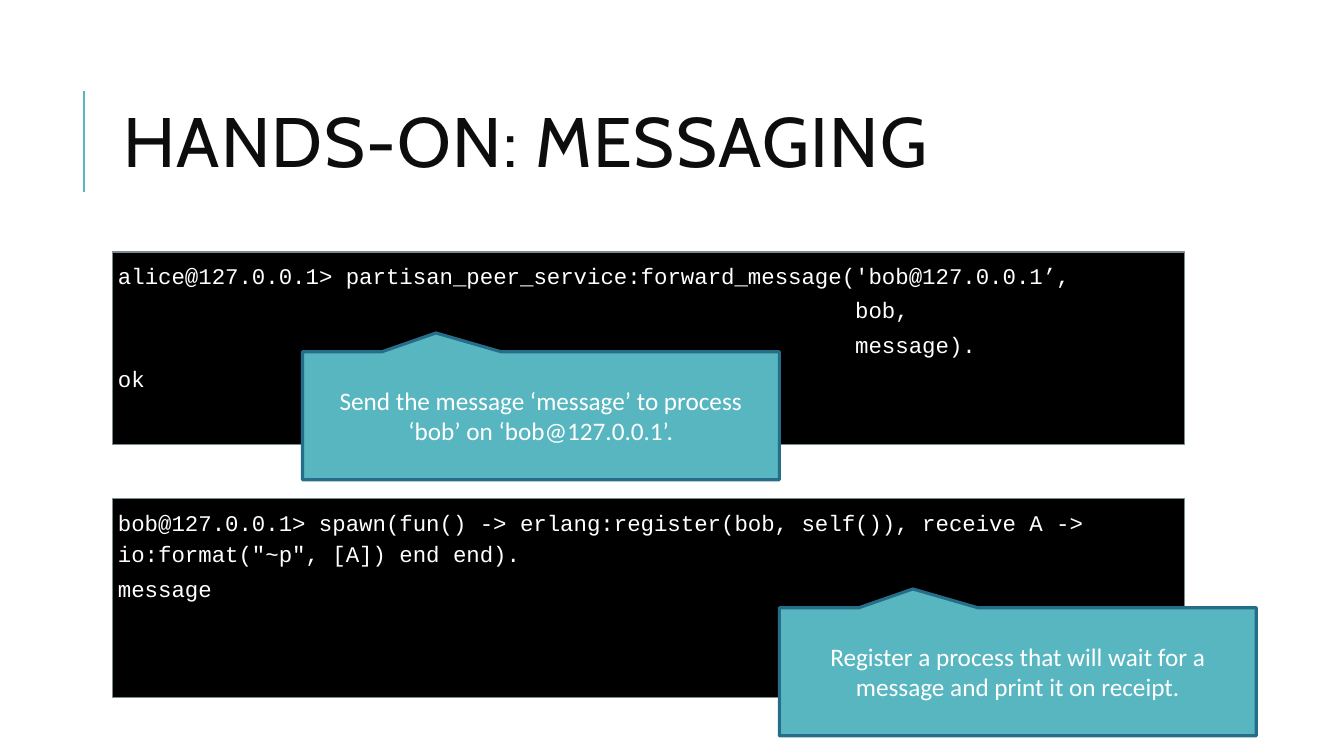
from lxml import etree
from pptx import Presentation
from pptx.dml.color import RGBColor
from pptx.enum.shapes import MSO_CONNECTOR, MSO_SHAPE
from pptx.enum.text import MSO_ANCHOR, MSO_AUTO_SIZE, PP_ALIGN
from pptx.oxml.ns import qn
from pptx.util import Inches, Pt

STRAIGHT = MSO_CONNECTOR.STRAIGHT
RECTANGLE = MSO_SHAPE.RECTANGLE
CALLOUT = MSO_SHAPE.RECTANGULAR_CALLOUT
TOP, MIDDLE = MSO_ANCHOR.TOP, MSO_ANCHOR.MIDDLE
LEFT, CENTER = PP_ALIGN.LEFT, PP_ALIGN.CENTER
NO_AUTOFIT = MSO_AUTO_SIZE.NONE

TEAL, DARK_TEAL, GREY = "58B6C0", "266D8A", "7A8C8E"
BLACK, WHITE, INK = "000000", "FFFFFF", "0D0D0D"

TITLE_BOX = (1.12, 0.64, 10.63, 1.64)
ALICE_BOX = (1.12, 2.5, 10.63, 1.91)
BOB_BOX = (1.12, 4.95, 10.63, 1.97)
ALICE_CODE = [
    "alice@127.0.0.1> partisan_peer_service:forward_message('bob@127.0.0.1’,",
    "                                                       bob,",
    "                                                       message).",
    "ok",
]
BOB_CODE = [
    "bob@127.0.0.1> spawn(fun() -> erlang:register(bob, self()), receive A -> "
    'io:format("~p", [A]) end end).',
    "message",
]
CALLOUTS = [
    ((7.73, 6.03, 4.73, 1.27),
     "Register a process that will wait for a message and print it on receipt."),
    ((3, 3.49, 4.73, 1.27),
     "Send the message ‘message’ to process ‘bob’ on ‘bob@127.0.0.1’."),
]


def color(value):
    """Turn a hex string into a colour."""
    return RGBColor.from_string(value)


def place(shape, box):
    """Move a shape to a box given in inches."""
    shape.left, shape.top, shape.width, shape.height = map(Inches, box)


def paint(shape, fill, line, width):
    """Set the fill and outline of a shape."""
    shape.fill.solid()
    shape.fill.fore_color.rgb = color(fill)
    shape.line.color.rgb = color(line)
    shape.line.width = Pt(width)


def add_span(para, text, font, size, ink):
    """Add one formatted run to a paragraph."""
    span = para.add_run()
    span.text = text
    span.font.name = font
    span.font.size = Pt(size)
    span.font.color.rgb = color(ink)
    return span


def add_title(page, box, text):
    """Fill the title placeholder and draw the rule at its left."""
    left, top = box[:2]
    rule_left = Inches(left - 0.29)
    rule = page.shapes.add_connector(
        STRAIGHT, rule_left, Inches(top + 1.26), rule_left, Inches(top + 0.26))
    rule.line.color.rgb = color(TEAL)
    rule.line.width = Pt(1.5)
    etree.SubElement(rule._element.spPr, qn("a:effectLst"))
    title = page.shapes.title
    place(title, box)
    frame = title.text_frame
    frame.auto_size = NO_AUTOFIT
    frame.vertical_anchor = MIDDLE
    para = frame.paragraphs[0]
    para.alignment = LEFT
    para.line_spacing = 0.8
    span = add_span(para, text, "Cabin", 50, INK)
    span.font._element.set("spc", "100")


def fill_terminal(panel, box, lines):
    """Style a shape as a terminal window holding lines of code."""
    place(panel, box)
    paint(panel, BLACK, GREY, 0.75)
    frame = panel.text_frame
    frame.word_wrap = True
    frame.auto_size = NO_AUTOFIT
    frame.vertical_anchor = TOP
    frame.margin_left = frame.margin_right = Inches(0.05)
    frame.margin_top = frame.margin_bottom = Inches(0.05)
    for index, line in enumerate(lines):
        para = frame.add_paragraph() if index else frame.paragraphs[0]
        properties = para._p.get_or_add_pPr()
        properties.set("marL", "0")
        properties.set("indent", "0")
        etree.SubElement(properties, qn("a:buNone"))
        para.alignment = LEFT
        para.line_spacing = 1.18
        para.space_before = Pt(0)
        para.space_after = Pt(2)
        add_span(para, line, "Courier New", 16, WHITE)


def add_callout(page, box, text):
    """Draw a callout whose tip points up at the code."""
    callout = page.shapes.add_shape(CALLOUT, *map(Inches, box))
    callout.shadow.inherit = False
    callout.adjustments[0] = -0.22
    callout.adjustments[1] = -0.647
    paint(callout, TEAL, DARK_TEAL, 2.25)
    frame = callout.text_frame
    frame.word_wrap = True
    frame.vertical_anchor = MIDDLE
    para = frame.paragraphs[0]
    para.alignment = CENTER
    add_span(para, text, "Calibri", 18, WHITE)


def build_messaging_slide(deck):
    """Build the slide with two terminals and their callouts."""
    page = deck.slides.add_slide(deck.slide_layouts[1])
    add_title(page, TITLE_BOX, "HANDS-ON: MESSAGING")
    fill_terminal(page.placeholders[1], ALICE_BOX, ALICE_CODE)
    bob = page.shapes.add_shape(RECTANGLE, *map(Inches, BOB_BOX))
    bob.shadow.inherit = False
    fill_terminal(bob, BOB_BOX, BOB_CODE)
    for box, text in CALLOUTS:
        add_callout(page, box, text)


def main():
    """Create the deck and save it."""
    deck = Presentation()
    deck.slide_width = Inches(13.33)
    deck.slide_height = Inches(7.5)
    build_messaging_slide(deck)
    deck.save("out.pptx")


if __name__ == "__main__":
    main()
